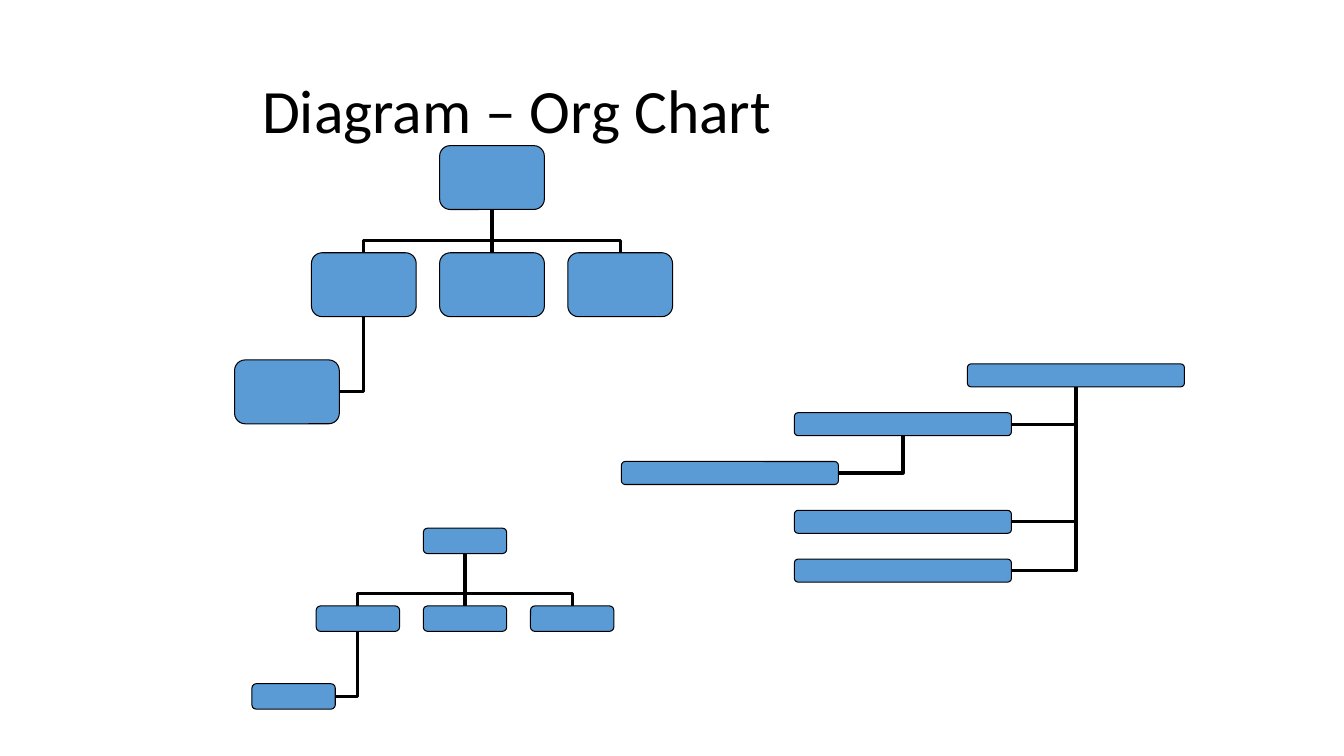
from pptx import Presentation
from pptx import util as u
from pptx.dml.color import RGBColor
from pptx.enum import shapes, text
from pptx.oxml.ns import qn
from lxml import etree

COLORS = {"box": "5B9BD5", "line": "000000", "title": "000000"}
TOP, BOTTOM, RIGHT = 0, 2, 3  # connection sites of a rounded rectangle
BEND = u.Cm(0.32)  # height of the shared bend above the children


def write_text(shape, content, size, color, font="Calibri", spacing=0.9):
    """Put one formatted, left-aligned paragraph into a shape."""
    shape.text_frame.word_wrap = True
    shape.text_frame.vertical_anchor = text.MSO_ANCHOR.MIDDLE
    paragraph = shape.text_frame.paragraphs[0]
    paragraph.alignment = text.PP_ALIGN.LEFT
    paragraph.line_spacing = spacing
    run = paragraph.add_run()
    run.text = content
    run.font.name, run.font.size = font, u.Pt(size)
    run.font.color.rgb = RGBColor.from_string(color)


def link(group, child, parent, hanging):
    """Join a child box to its parent: from its side if hanging, else from its top."""
    straight = not hanging and child.left == parent.left
    kind = shapes.MSO_CONNECTOR.STRAIGHT if straight else shapes.MSO_CONNECTOR.ELBOW
    connector = group.shapes.add_connector(kind, 0, 0, 0, 0)
    connector.begin_connect(child, RIGHT if hanging else TOP)
    connector.end_connect(parent, BOTTOM)
    connector.line.color.rgb = RGBColor.from_string(COLORS["line"])
    connector.line.width = u.Pt(2.25)
    properties = connector._element.spPr
    etree.SubElement(properties, qn("a:effectLst"))
    geometry = properties.find(qn("a:prstGeom"))
    if hanging:
        geometry.set("prst", "bentConnector2")
    elif not straight:
        # A vertical elbow is a horizontal one turned by a quarter about its centre.
        across, gap = connector.width, connector.height
        middle_x, middle_y = connector.left + across // 2, connector.top + gap // 2
        connector.left, connector.top = middle_x - gap // 2, middle_y - across // 2
        connector.width, connector.height = gap, across
        to_right = child.left > parent.left
        frame = properties.find(qn("a:xfrm"))
        frame.set("rot", str((90 if to_right else 270) * 60000))
        frame.set("flipH", "1" if to_right else "0")
        frame.set("flipV", "0")
        guides = geometry.find(qn("a:avLst"))
        if guides is None:
            guides = etree.SubElement(geometry, qn("a:avLst"))
        bend = round(BEND / gap * 100000)
        etree.SubElement(guides, qn("a:gd"), name="adj1", fmla=f"val {bend}")
    group._element.insert(2, connector._element)  # lines lie behind the boxes


presentation = Presentation()
presentation.slide_width, presentation.slide_height = u.Cm(33.87), u.Cm(19.05)
slide = presentation.slides.add_slide(presentation.slide_layouts[5])

title = slide.shapes.title
title.left, title.top, title.width, title.height = map(u.Cm, (6.35, 1.27, 22.86, 3.18))
write_text(title, "Diagram – Org Chart", size=44, color=COLORS["title"])

# Each box: column, row, index of its parent, whether it hangs from the side.
tree = [(0, 0, None, False), (-1, 1, 0, False), (0, 1, 0, False),
        (1, 1, 0, False), (-1.6, 2, 1, True)]
outline = [(0, 0, None, False), (-1, 1, 0, True), (-1, 3, 0, True),
           (-1, 4, 0, True), (-2, 2, 1, True)]

# Each chart: boxes, box size, place of the top box, column and row steps.
charts = [
    (tree, (2.64, 1.61), (11.08, 3.67), (3.23, 2.7)),
    (outline, (5.47, 0.58), (24.38, 9.17), (4.36, 1.23)),
    (tree, (2.1, 0.64), (10.67, 13.31), (2.7, 1.96)),
]

for boxes, (width, height), (left, top), (column_step, row_step) in charts:
    group = slide.shapes.add_group_shape()
    drawn = []
    for column, row, parent, hanging in boxes:
        box = group.shapes.add_shape(
            shapes.MSO_SHAPE.ROUNDED_RECTANGLE,
            u.Cm(left + column * column_step), u.Cm(top + row * row_step),
            u.Cm(width), u.Cm(height))
        box.shadow.inherit = False
        box.fill.solid()
        box.fill.fore_color.rgb = RGBColor.from_string(COLORS["box"])
        box.line.color.rgb = RGBColor.from_string(COLORS["line"])
        box.line.width = u.Pt(0.75)
        drawn.append(box)
        if parent is not None:
            link(group, box, drawn[parent], hanging)

presentation.save("out.pptx")
